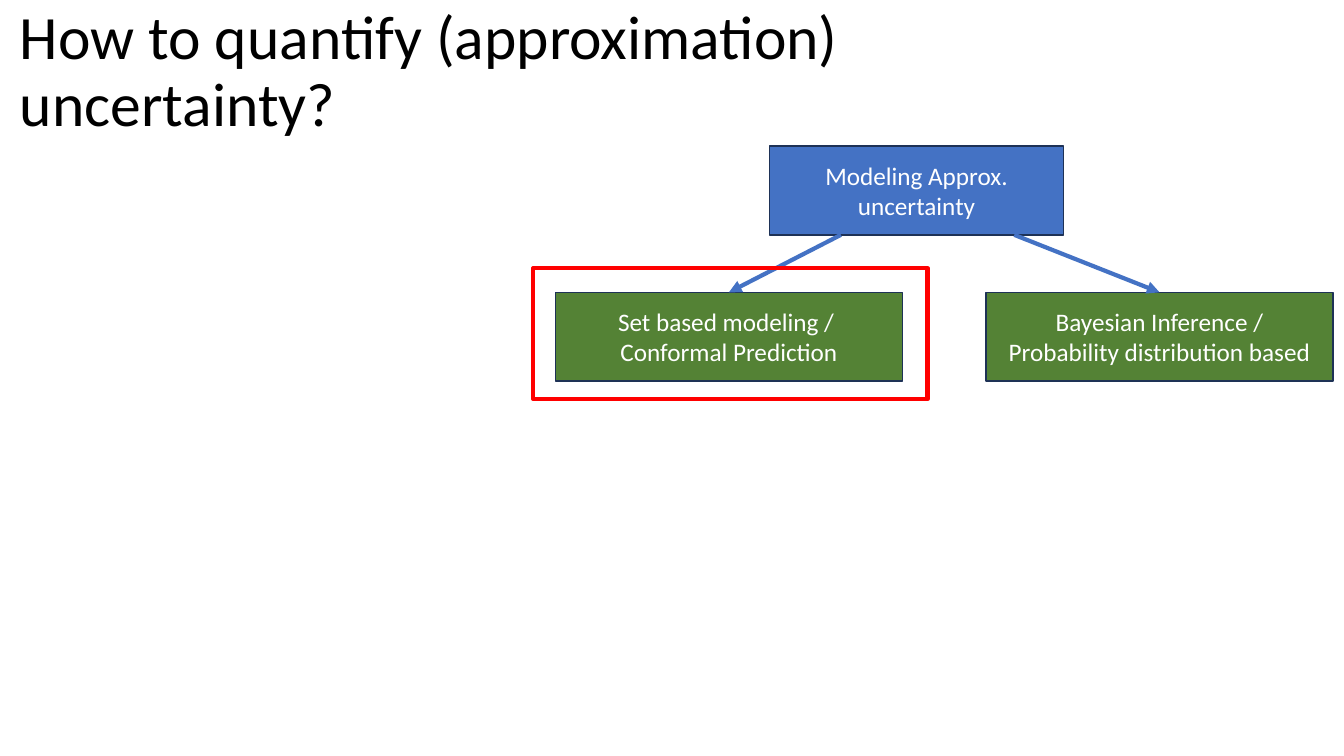
"""Build a slide on two ways to model approximation uncertainty."""
from lxml import etree
from pptx import Presentation
from pptx.dml.color import RGBColor
from pptx.enum.shapes import MSO_CONNECTOR, MSO_SHAPE
from pptx.enum.text import MSO_ANCHOR, PP_ALIGN
from pptx.oxml.ns import qn
from pptx.util import Inches, Pt

RECTANGLE = MSO_SHAPE.RECTANGLE
STRAIGHT = MSO_CONNECTOR.STRAIGHT
MIDDLE = MSO_ANCHOR.MIDDLE
LEFT, CENTER = PP_ALIGN.LEFT, PP_ALIGN.CENTER

FONT = "Calibri"
COLORS = {
    "title": "000000",
    "topic": "4472C4",
    "approach": "548235",
    "border": "1E3256",
    "label": "FFFFFF",
    "highlight": "FF0000",
}

TITLE = "How to quantify (approximation) uncertainty?"
TOPIC = "Modeling Approx. uncertainty"
APPROACHES = [
    {"label": "Set based modeling / \nConformal Prediction", "left": 5.51, "arrow_x": 8.34},
    {"label": "Bayesian Inference /\nProbability distribution based", "left": 9.78, "arrow_x": 10.06},
]

TITLE_AREA = (0.1, 0, 11.5, 1.45)
TOPIC_LEFT, TOPIC_TOP, TOPIC_WIDTH = 7.63, 1.45, 2.92
APPROACH_TOP, APPROACH_WIDTH = 2.9, 3.44
BOX_HEIGHT = 0.88
HIGHLIGHT_AREA = (5.29, 2.66, 3.91, 1.3)


def rgb(name):
    return RGBColor.from_string(COLORS[name])


def write(frame, text, size, color, align):
    frame.word_wrap = True
    frame.vertical_anchor = MIDDLE
    frame.text = text
    for paragraph in frame.paragraphs:
        paragraph.alignment = align
        for run in paragraph.runs:
            run.font.name = FONT
            run.font.size = Pt(size)
            run.font.color.rgb = rgb(color)


def add_title(slide):
    title = slide.shapes.add_textbox(*map(Inches, TITLE_AREA))
    write(title.text_frame, TITLE, 44, "title", LEFT)
    title.text_frame.paragraphs[0].line_spacing = 0.9


def add_rectangle(slide, area, border, border_width):
    rectangle = slide.shapes.add_shape(RECTANGLE, *map(Inches, area))
    rectangle.shadow.inherit = False
    rectangle.fill.background()
    rectangle.line.color.rgb = rgb(border)
    rectangle.line.width = Pt(border_width)
    return rectangle


def add_box(slide, label, left, top, width, fill):
    box = add_rectangle(slide, (left, top, width, BOX_HEIGHT), "border", 1)
    box.fill.solid()
    box.fill.fore_color.rgb = rgb(fill)
    write(box.text_frame, label, 18, "label", CENTER)
    return box


def add_arrow(slide, start_x, target):
    start = (Inches(start_x), Inches(TOPIC_TOP + BOX_HEIGHT))
    end = (target.left + target.width // 2, target.top)
    arrow = slide.shapes.add_connector(STRAIGHT, *start, *end)
    arrow.end_connect(target, 0)
    arrow.line.color.rgb = rgb("topic")
    arrow.line.width = Pt(3)
    etree.SubElement(arrow.line._get_or_add_ln(), qn("a:tailEnd"), type="triangle")
    etree.SubElement(arrow._element.spPr, qn("a:effectLst"))


def main():
    deck = Presentation()
    deck.slide_width, deck.slide_height = Inches(13.33), Inches(7.5)
    slide = deck.slides.add_slide(deck.slide_layouts[6])

    add_title(slide)
    add_box(slide, TOPIC, TOPIC_LEFT, TOPIC_TOP, TOPIC_WIDTH, "topic")
    boxes = [
        add_box(slide, approach["label"], approach["left"], APPROACH_TOP, APPROACH_WIDTH, "approach")
        for approach in APPROACHES
    ]
    for approach, box in zip(APPROACHES, boxes):
        add_arrow(slide, approach["arrow_x"], box)
    add_rectangle(slide, HIGHLIGHT_AREA, "highlight", 3)

    deck.save("out.pptx")


if __name__ == "__main__":
    main()
